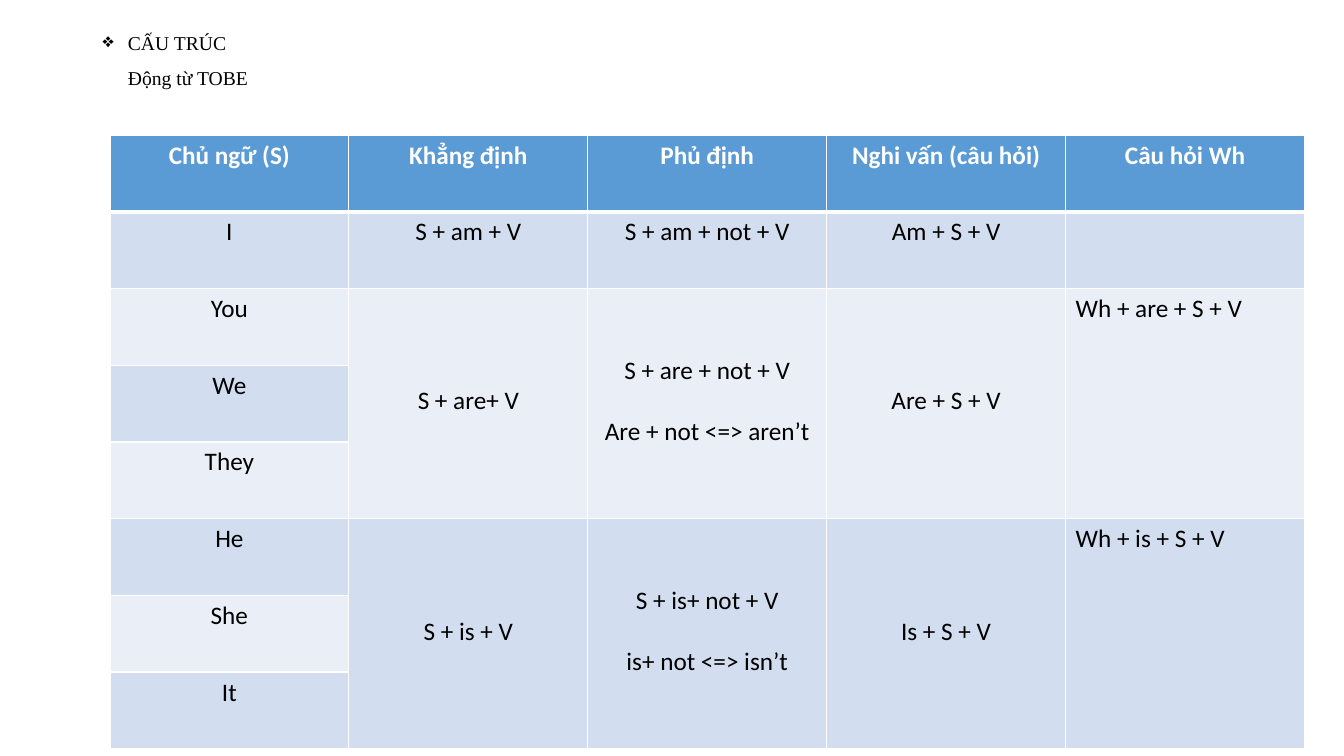
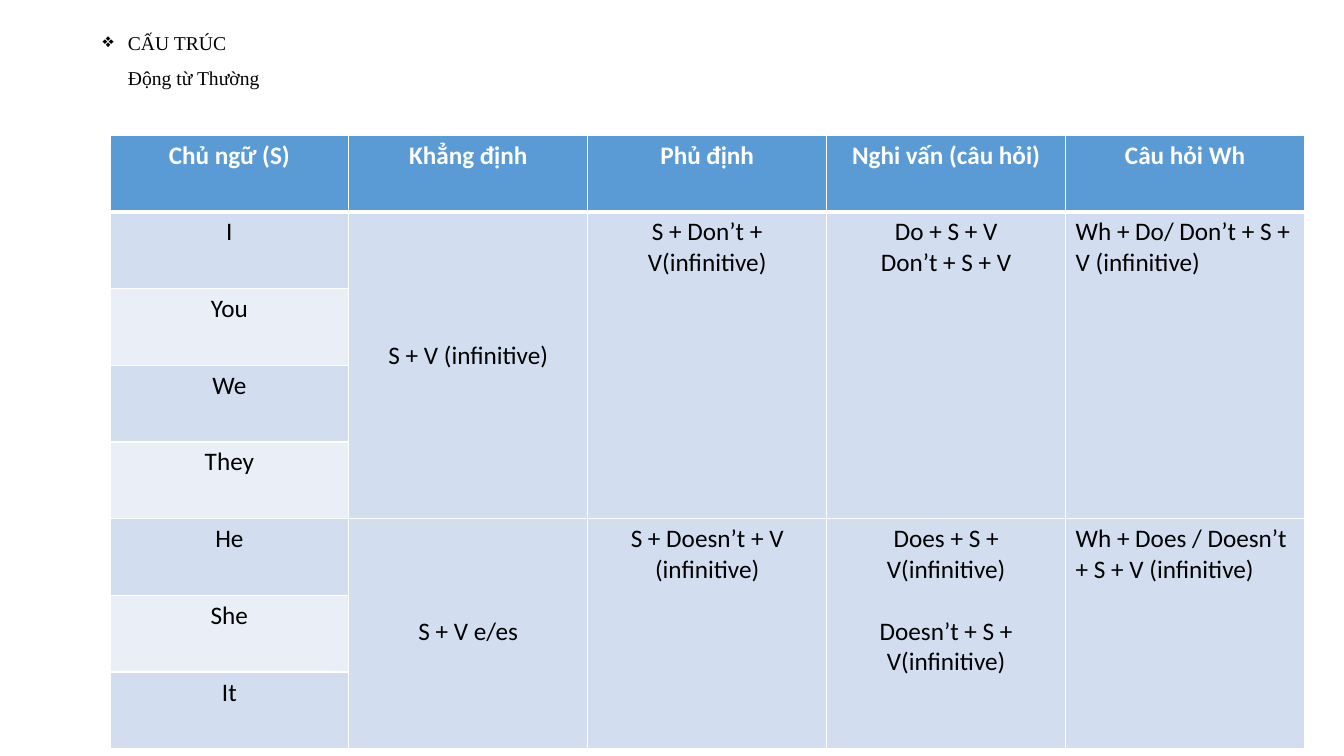
"""Two grammar slides: sentence patterns for TOBE and for ordinary verbs."""
from dataclasses import dataclass

from lxml import etree
from pptx import Presentation
from pptx import util as u
from pptx.dml import color
from pptx.enum import text
from pptx.oxml import ns


@dataclass(frozen=True)
class Theme:
    """Colours, fonts and type sizes shared by both slides."""
    header: str = "5B9BD5"
    band_dark: str = "D2DEEF"
    band_light: str = "EAEFF7"
    white: str = "FFFFFF"
    ink: str = "000000"
    title_font: str = "Times New Roman"
    table_font: str = "Calibri"
    title_size: int = 14
    table_size: int = 18
    table_line: int = 22  # height of one table text line, in points
    thin_rule: int = 1
    thick_rule: int = 3


@dataclass(frozen=True)
class Pattern:
    """A table cell that spans rows; lead and gap count text lines."""
    row: int
    col: int
    rows: int
    lines: tuple[str, ...]
    lead: int = 0
    gap: int = 0


@dataclass(frozen=True)
class Lesson:
    """The contents of one slide."""
    verb: str
    patterns: tuple[Pattern, ...]


THEME = Theme()
HEADINGS = ("Chủ ngữ (S)", "Khẳng định", "Phủ định", "Nghi vấn (câu hỏi)", "Câu hỏi Wh")
SUBJECTS = ("I", "You", "We", "They", "He", "She", "It")
WH_COL = len(HEADINGS) - 1

LESSONS = (
    Lesson("Động từ TOBE", (
        Pattern(1, 1, 1, ("S + am + V",)),
        Pattern(1, 2, 1, ("S + am + not + V",)),
        Pattern(1, 3, 1, ("Am + S + V",)),
        Pattern(1, 4, 1, ()),
        Pattern(2, 1, 3, ("S + are+ V",), lead=3),
        Pattern(2, 2, 3, ("S + are + not + V", "Are + not <=> aren’t"), lead=2, gap=1),
        Pattern(2, 3, 3, ("Are + S + V",), lead=3),
        Pattern(2, 4, 3, ("Wh + are + S + V",)),
        Pattern(5, 1, 3, ("S + is + V",), lead=3),
        Pattern(5, 2, 3, ("S + is+ not + V", "is+ not <=> isn’t"), lead=2, gap=1),
        Pattern(5, 3, 3, ("Is + S + V",), lead=3),
        Pattern(5, 4, 3, ("Wh + is + S + V",)),
    )),
    Lesson("Động từ Thường", (
        Pattern(1, 1, 4, ("S + V (infinitive)",), lead=4),
        Pattern(1, 2, 4, ("S + Don’t + V(infinitive)",)),
        Pattern(1, 3, 4, ("Do + S + V", "Don’t + S + V")),
        Pattern(1, 4, 4, ("Wh + Do/ Don’t + S + V (infinitive)",)),
        Pattern(5, 1, 3, ("S + V e/es",), lead=3),
        Pattern(5, 2, 3, ("S + Doesn’t + V (infinitive)",)),
        Pattern(5, 3, 3, ("Does + S + V(infinitive)", "Doesn’t + S + V(infinitive)"), gap=1),
        Pattern(5, 4, 3, ("Wh + Does / Doesn’t + S + V (infinitive)",)),
    )),
)


def add_run(p, words: str, font: str, size: int, ink: str, bold: bool = False) -> None:
    """Add one styled run to a paragraph."""
    r = p.add_run()
    r.text = words
    r.font.name = font
    r.font.size = u.Pt(size)
    r.font.bold = bold
    r.font.color.rgb = color.RGBColor.from_string(ink)


def add_title(s, verb: str) -> None:
    """Add the bulleted heading and the verb name below it."""
    sp = s.shapes.add_textbox(u.Inches(0.92), u.Inches(0.28), u.Inches(11.5), u.Inches(6.48))
    tf = sp.text_frame
    tf.word_wrap = True
    heading, subheading = tf.paragraphs[0], tf.add_paragraph()
    indent = u.Inches(0.25)
    for p, words in ((heading, "CẤU TRÚC"), (subheading, verb)):
        p.line_spacing = 0.9
        p.space_before = u.Pt(10)
        add_run(p, words, THEME.title_font, THEME.title_size, THEME.ink)
        p._p.get_or_add_pPr().set("marL", str(indent))
    p_pr = heading._p.get_or_add_pPr()
    p_pr.set("indent", str(-indent))
    etree.SubElement(p_pr, ns.qn("a:buChar")).set("char", "❖")


def set_borders(cell, row: int) -> None:
    """Rule the cell in white, thicker between header and body."""
    tc_pr = cell._tc.get_or_add_tcPr()
    thick_side = {0: "B", 1: "T"}.get(row)
    for place, side in enumerate("LRTB"):
        points = THEME.thick_rule if side == thick_side else THEME.thin_rule
        ln = etree.Element(ns.qn(f"a:ln{side}"), w=str(u.Pt(points)))
        fill = etree.SubElement(ln, ns.qn("a:solidFill"))
        etree.SubElement(fill, ns.qn("a:srgbClr")).set("val", THEME.white)
        tc_pr.insert(place, ln)


def fill_cell(table, pattern: Pattern) -> None:
    """Merge, colour, rule and write one cell."""
    row, col = pattern.row, pattern.col
    cell = table.cell(row, col)
    if pattern.rows > 1:
        cell.merge(table.cell(row + pattern.rows - 1, col))
    is_header = row == 0
    band = THEME.band_dark if row % 2 else THEME.band_light
    cell.fill.solid()
    cell.fill.fore_color.rgb = color.RGBColor.from_string(THEME.header if is_header else band)
    set_borders(cell, row)
    cell.margin_top = u.Inches(0.05) + u.Pt(pattern.lead * THEME.table_line)
    left = col == WH_COL and not is_header
    tf = cell.text_frame
    for i, words in enumerate(pattern.lines):
        p = tf.add_paragraph() if i else tf.paragraphs[0]
        p.alignment = text.PP_ALIGN.LEFT if left else text.PP_ALIGN.CENTER
        if i:
            p.space_before = u.Pt(pattern.gap * THEME.table_line)
        add_run(p, words, THEME.table_font, THEME.table_size,
                THEME.white if is_header else THEME.ink, is_header)


def add_grammar_table(s, patterns: tuple[Pattern, ...]) -> None:
    """Add the table of subjects and sentence patterns."""
    table = s.shapes.add_table(len(SUBJECTS) + 1, len(HEADINGS), u.Inches(1.09),
                               u.Inches(1.34), u.Inches(11.85), u.Inches(6.09)).table
    headings = tuple(Pattern(0, col, 1, (words,)) for col, words in enumerate(HEADINGS))
    subjects = tuple(Pattern(row, 0, 1, (words,)) for row, words in enumerate(SUBJECTS, 1))
    for pattern in headings + subjects + patterns:
        fill_cell(table, pattern)


def build() -> None:
    """Build and save the presentation."""
    prs = Presentation()
    prs.slide_width, prs.slide_height = u.Inches(13.33), u.Inches(7.5)
    for lesson in LESSONS:
        s = prs.slides.add_slide(prs.slide_layouts[6])
        add_title(s, lesson.verb)
        add_grammar_table(s, lesson.patterns)
    prs.save("out.pptx")


build()
